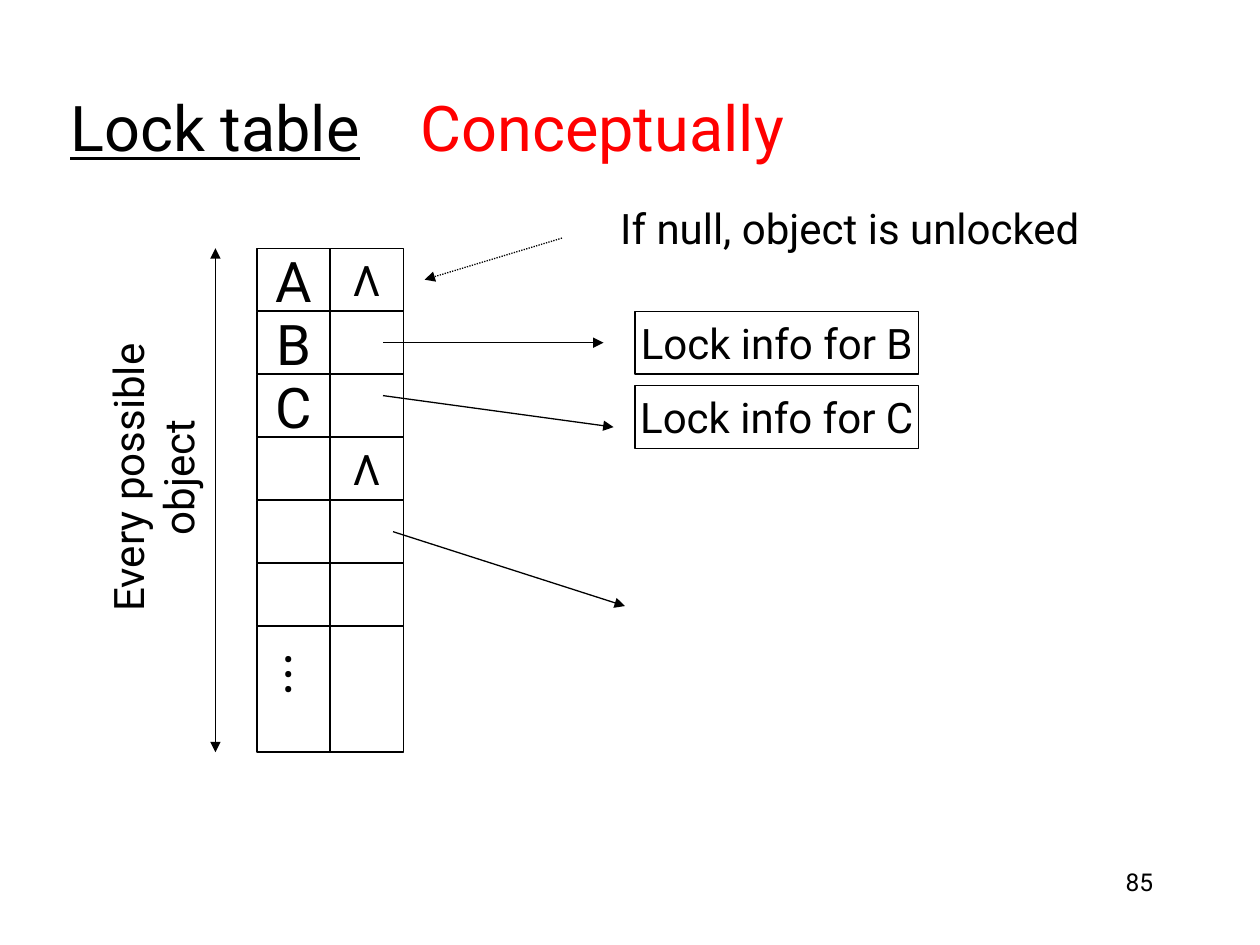
from dataclasses import dataclass, field

from lxml import etree
from pptx import Presentation
from pptx import util as u
from pptx.dml.color import RGBColor
from pptx.enum import dml, shapes, text
from pptx.oxml import ns

BLACK, WHITE, RED = "000000", "FFFFFF", "FF0000"
FONT = "Roboto"
LEFT, CENTER, RIGHT = text.PP_ALIGN.LEFT, text.PP_ALIGN.CENTER, text.PP_ALIGN.RIGHT
TOP, MIDDLE = text.MSO_ANCHOR.TOP, text.MSO_ANCHOR.MIDDLE


@dataclass
class Run:
    wording: str
    size: int = 24
    color: str = BLACK
    underline: bool = False


@dataclass
class Label:
    left: float
    top: float
    width: float
    height: float
    runs: list[Run]
    align: text.PP_ALIGN = CENTER
    frame: dict = field(default_factory=dict)
    rotation: int = 0
    tab: float = 0


@dataclass
class Box:
    left: float
    top: float
    width: float
    height: float
    run: Run


@dataclass
class Arrow:
    start: tuple[float, float]
    end: tuple[float, float]
    dotted: bool = False


def rgb(value: str) -> RGBColor:
    return RGBColor.from_string(value)


def set_all(target, values: dict) -> None:
    for name, value in values.items():
        setattr(target, name, value)


def write(paragraph, runs: list[Run], align) -> None:
    paragraph.alignment = align
    for item in runs:
        run = paragraph.add_run()
        run.text = item.wording
        set_all(run.font, {"name": FONT, "size": u.Pt(item.size),
                           "underline": item.underline})
        run.font.color.rgb = rgb(item.color)


def draw_label(slide, label: Label) -> None:
    holder = slide.shapes.add_textbox(
        *map(u.Inches, (label.left, label.top, label.width, label.height)))
    holder.rotation = label.rotation
    set_all(holder.text_frame,
            {"word_wrap": True, "vertical_anchor": MIDDLE} | label.frame)
    paragraph = holder.text_frame.paragraphs[0]
    if label.tab:
        tabs = etree.SubElement(paragraph._p.get_or_add_pPr(), ns.qn("a:tabLst"))
        etree.SubElement(tabs, ns.qn("a:tab"), pos=str(u.Inches(label.tab)), algn="l")
    write(paragraph, label.runs, label.align)


def draw_box(slide, box: Box) -> None:
    rect = slide.shapes.add_shape(
        shapes.MSO_SHAPE.RECTANGLE,
        *map(u.Inches, (box.left, box.top, box.width, box.height)))
    rect.shadow.inherit = False
    rect.fill.solid()
    rect.fill.fore_color.rgb = rgb(WHITE)
    rect.line.color.rgb = rgb(BLACK)
    rect.line.width = u.Pt(0.75)
    set_all(rect.text_frame, {"word_wrap": False, "vertical_anchor": MIDDLE})
    if box.run.wording:
        write(rect.text_frame.paragraphs[0], [box.run], CENTER)


def draw_arrow(slide, arrow: Arrow) -> None:
    line = slide.shapes.add_connector(
        shapes.MSO_CONNECTOR.STRAIGHT, *map(u.Inches, arrow.start + arrow.end))
    line.line.color.rgb = rgb(BLACK)
    line.line.width = u.Pt(0.75)
    if arrow.dotted:
        line.line.dash_style = dml.MSO_LINE.ROUND_DOT
    etree.SubElement(line.line._get_or_add_ln(), ns.qn("a:tailEnd"), type="triangle")
    etree.SubElement(line._element.spPr, ns.qn("a:effectLst"))


# Lock table: object name, then its entry, and the row height
TABLE_LEFT, TABLE_TOP, COLUMN_WIDTH, ROW_HEIGHT = 2.04, 1.97, 0.58, 0.5
ROWS = [("A", "Λ", 1), ("B", "", 1), ("C", "", 1), ("", "Λ", 1),
        ("", "", 1), ("", "", 1), ("", "", 2)]

INFO_BOXES = [Box(5.04, top, 2.25, ROW_HEIGHT, Run(f"Lock info for {name}"))
              for name, top in (("B", 2.47), ("C", 3.06))]

EXTENT_X, EXTENT_MIDDLE, TABLE_BOTTOM = 1.71, 3.56, 5.97
ARROWS = [
    Arrow((3.04, 2.72), (4.79, 2.72)),
    Arrow((3.04, 3.14), (4.87, 3.39)),
    Arrow((3.12, 4.22), (4.96, 4.81)),
    Arrow((4.46, 1.89), (3.37, 2.22), dotted=True),
    Arrow((EXTENT_X, EXTENT_MIDDLE), (EXTENT_X, TABLE_TOP)),
    Arrow((EXTENT_X, EXTENT_MIDDLE), (EXTENT_X, TABLE_BOTTOM)),
]

LABELS = [
    Label(7.17, 6.83, 2.08, 0.5, [Run("85", 14)], RIGHT, {"vertical_anchor": TOP}),
    Label(0.46, 0.38, 8.5, 1.25,
          [Run("Lock table", 36, underline=True), Run("\t", 36),
           Run("Conceptually", 36, RED)], LEFT, tab=2.78),
    Label(2.14, 5.04, 0.61, 0.63, [Run("...", 32)], rotation=90),
    Label(4.79, 1.56, 3.91, 0.5, [Run("If null, object is unlocked")],
          frame={"word_wrap": False}),
    Label(-0.44, 3.54, 3.3, 0.5, [Run("Every possible object")], rotation=270,
          frame={"margin_left": u.Inches(0.3), "margin_right": u.Inches(0.3)}),
]


def draw_lock_table(slide) -> None:
    top = TABLE_TOP
    for name, entry, span in ROWS:
        height = span * ROW_HEIGHT
        for column, run in enumerate((Run(name, 32), Run(entry))):
            left = TABLE_LEFT + column * COLUMN_WIDTH
            draw_box(slide, Box(left, top, COLUMN_WIDTH, height, run))
        top += height


def main() -> None:
    deck = Presentation()
    set_all(deck, {"slide_width": u.Inches(10), "slide_height": u.Inches(7.5)})
    slide = deck.slides.add_slide(deck.slide_layouts[6])

    # Table and lock details
    draw_lock_table(slide)
    for box in INFO_BOXES:
        draw_box(slide, box)

    # Pointers and the extent of the table
    for arrow in ARROWS:
        draw_arrow(slide, arrow)

    # Title, notes and page number
    for label in LABELS:
        draw_label(slide, label)

    deck.save("out.pptx")


if __name__ == "__main__":
    main()
